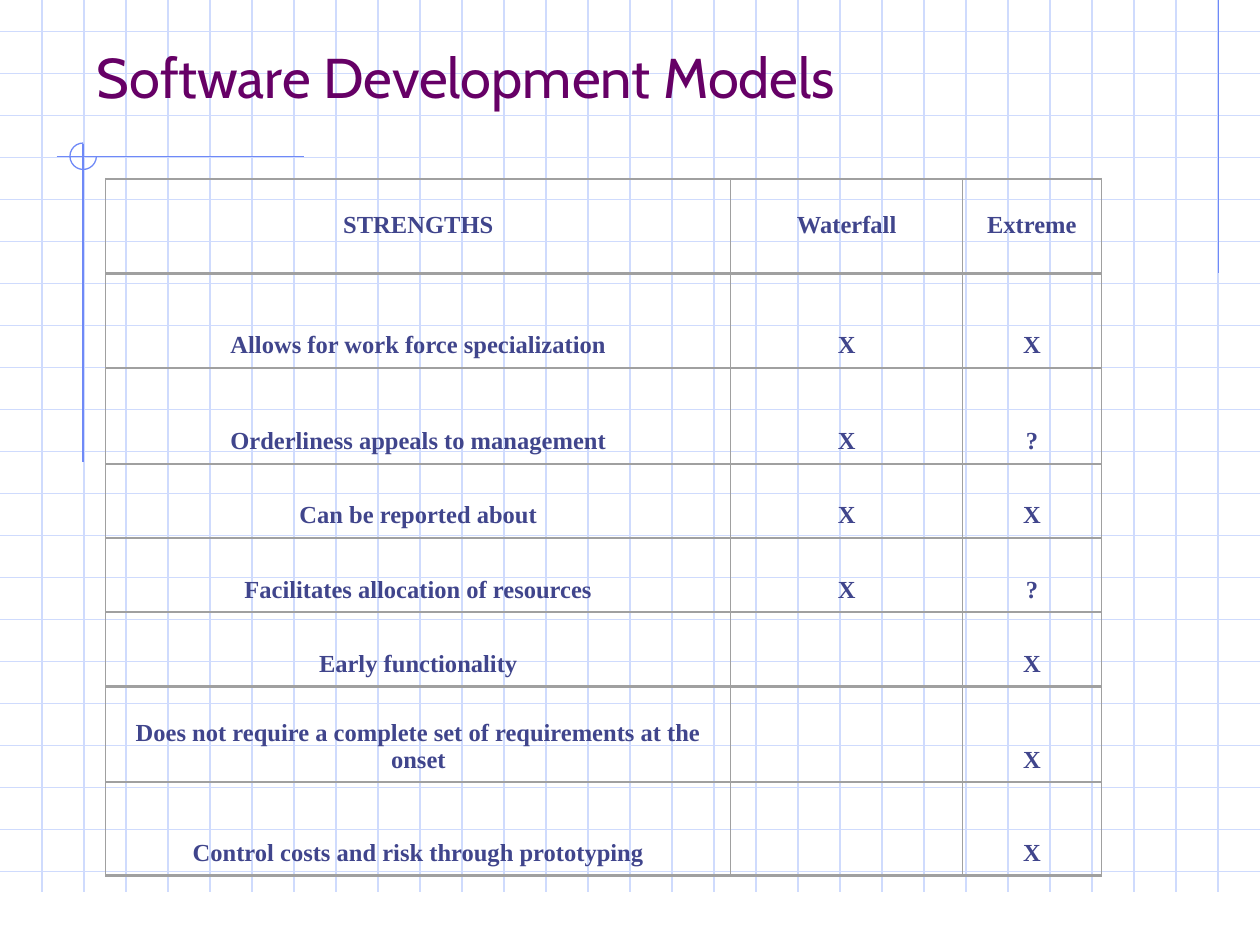
import pptx
import pptx.util
import pptx.dml.color
import pptx.enum.shapes
import pptx.enum.text
import pptx.oxml
import pptx.oxml.ns
import pptx.oxml.xmlchemy

Inches = pptx.util.Inches
Pt = pptx.util.Pt
ANCHOR = pptx.enum.text.MSO_ANCHOR
ALIGN = pptx.enum.text.PP_ALIGN

GRID_COLOR, ACCENT_COLOR, BORDER_COLOR = "CFDBFD", "6F89F7", "A0A0A0"
TITLE_FORMAT = {"name": "Cabin", "size": Pt(32), "bold": False}
CELL_FORMAT = {"name": "Times New Roman", "size": Pt(14), "bold": True}
COLUMN_WIDTHS = [4.96, 1.84, 1.1]
ROW_HEIGHTS = [0.75, 0.75, 0.76, 0.59, 0.59, 0.59, 0.76, 0.74]
ROWS = [
    ("STRENGTHS", "Waterfall", "Extreme"),
    ("Allows for work force specialization", "X", "X"),
    ("Orderliness appeals to management", "X", "?"),
    ("Can be reported about", "X", "X"),
    ("Facilitates allocation of resources", "X", "?"),
    ("Early functionality", "", "X"),
    ("Does not require a complete set of requirements at the onset", "", "X"),
    ("Control costs and risk through prototyping", "", "X"),
]


def rgb(value):
    """Return the colour for a hex string."""
    return pptx.dml.color.RGBColor.from_string(value)


def set_attributes(target, values):
    """Set each named attribute of the target."""
    for name, value in values.items():
        setattr(target, name, value)


def write_text(paragraph, text, values, color):
    """Put one formatted run in the paragraph."""
    run = paragraph.add_run()
    run.text = text
    set_attributes(run.font, values)
    run.font.color.rgb = rgb(color)


def add_line(slide, start, end, color):
    """Draw a thin straight line without a shadow."""
    points = [Inches(value) for value in (*start, *end)]
    line = slide.shapes.add_connector(
        pptx.enum.shapes.MSO_CONNECTOR.STRAIGHT, *points)
    line.line.color.rgb = rgb(color)
    line.line.width = Pt(0.75)
    line._element.spPr.append(
        pptx.oxml.xmlchemy.OxmlElement("a:effectLst"))


def add_grid(slide, left, top, width, height):
    """Rule the background into squares of a third of an inch."""
    step = 1 / 3
    for index in range(21):
        y = top + 0.25 + index * step
        add_line(slide, (left, y), (left + width, y), GRID_COLOR)
    for index in range(1, 30):
        x = left + index * step
        add_line(slide, (x, top), (x, top + height), GRID_COLOR)


def add_crosshair(slide, left, top, width, height):
    """Draw the corner lines with a three-quarter circle where they cross."""
    x, y, radius = left + 0.21, top + 0.1, 0.105
    add_line(slide, (left, y), (left + width, y), ACCENT_COLOR)
    add_line(slide, (x, top), (x, top + height), ACCENT_COLOR)
    arc = slide.shapes.add_shape(
        pptx.enum.shapes.MSO_SHAPE.ARC, Inches(x - radius), Inches(y - radius),
        Inches(2 * radius), Inches(2 * radius))
    arc.adjustments[0] = 0
    arc.adjustments[1] = 162
    arc.shadow.inherit = False
    arc.fill.background()
    arc.line.color.rgb = rgb(ACCENT_COLOR)
    arc.line.width = Pt(0.75)


def add_title(slide, left, top, width, height):
    """Write the slide title at the bottom of its box."""
    box = slide.shapes.add_textbox(*map(Inches, (left, top, width, height)))
    set_attributes(box.text_frame, {
        "word_wrap": True, "vertical_anchor": ANCHOR.BOTTOM})
    write_text(box.text_frame.paragraphs[0], "Software Development Models",
               TITLE_FORMAT, "660066")


def set_borders(cell):
    """Draw thin sides and heavier rules above and below the cell."""
    properties = cell._tc.get_or_add_tcPr()
    sides = {"lnL": 0.75, "lnR": 0.75, "lnT": 1.5, "lnB": 1.5}
    for index, (side, width) in enumerate(sides.items()):
        border = pptx.oxml.parse_xml(
            f'<a:{side} {pptx.oxml.ns.nsdecls("a")} w="{int(Pt(width))}">'
            f'<a:solidFill><a:srgbClr val="{BORDER_COLOR}"/></a:solidFill>'
            f'</a:{side}>')
        properties.insert(index, border)


def add_strengths_table(slide, left, top, width, height):
    """Compare the strengths of both models in a clear table."""
    table = slide.shapes.add_table(
        len(ROWS), len(COLUMN_WIDTHS),
        *map(Inches, (left, top, width, height))).table
    set_attributes(table, {"first_row": False, "horz_banding": False})
    for column, column_width in zip(table.columns, COLUMN_WIDTHS):
        column.width = Inches(column_width)
    for row_index, (row, row_height) in enumerate(zip(table.rows, ROW_HEIGHTS)):
        row.height = Inches(row_height)
        for cell, text in zip(row.cells, ROWS[row_index]):
            set_attributes(cell, {
                "vertical_anchor": ANCHOR.BOTTOM if row_index else ANCHOR.MIDDLE,
                "margin_left": Inches(0.12), "margin_right": Inches(0.12),
                "margin_top": Inches(0.05), "margin_bottom": Inches(0.07)})
            cell.fill.background()
            set_borders(cell)
            paragraph = cell.text_frame.paragraphs[0]
            paragraph.alignment = ALIGN.CENTER
            if text:
                write_text(paragraph, text, CELL_FORMAT, "40458C")


def main():
    """Build and save the slide."""
    presentation = pptx.Presentation()
    set_attributes(presentation, {
        "slide_width": Inches(10), "slide_height": Inches(7.5)})
    slide = presentation.slides.add_slide(presentation.slide_layouts[6])
    add_grid(slide, 0, 0, 10, 7.08)
    add_line(slide, (9.67, 0), (9.67, 2.17), ACCENT_COLOR)
    add_crosshair(slide, 0.45, 1.14, 1.96, 2.53)
    add_title(slide, 0.67, 0.28, 8.5, 0.64)
    add_strengths_table(slide, 0.84, 1.42, sum(COLUMN_WIDTHS), sum(ROW_HEIGHTS))
    presentation.save("out.pptx")


if __name__ == "__main__":
    main()
